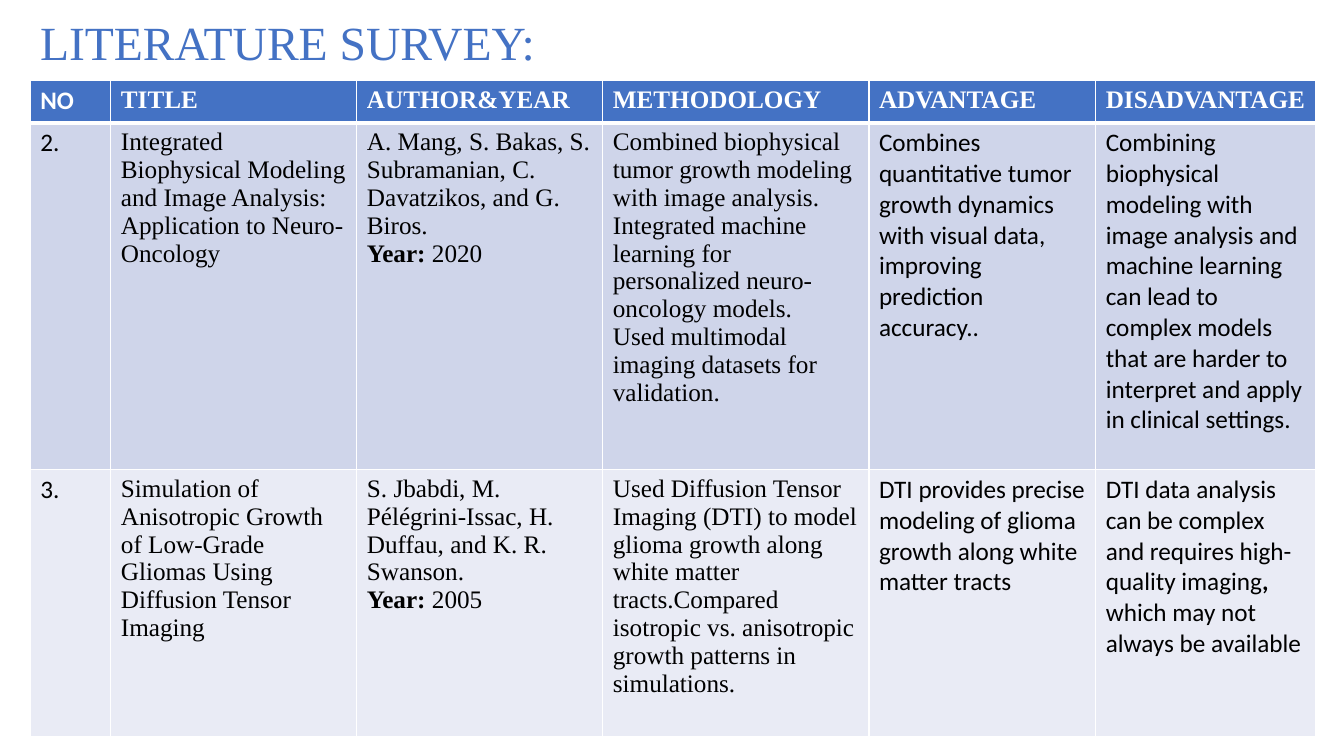
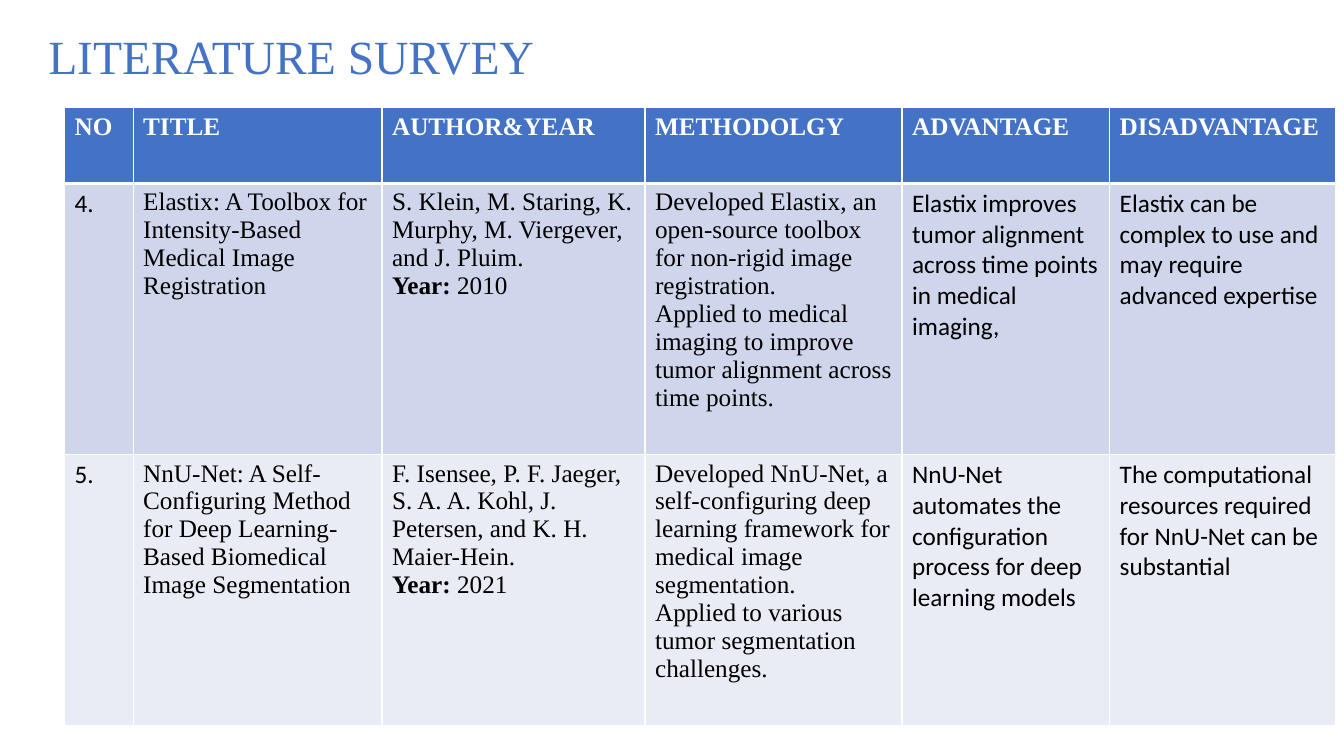
from dataclasses import dataclass

from lxml.etree import SubElement
from pptx import Presentation
from pptx.dml.color import RGBColor
from pptx.enum.text import MSO_ANCHOR
from pptx.oxml.ns import qn
from pptx.util import Pt


@dataclass(frozen=True)
class Theme:
    accent: str = "4472C4"
    bands: tuple = ("CFD5EA", "E9EBF5")
    text: str = "000000"
    white: str = "FFFFFF"
    serif: str = "Times New Roman"
    sans: str = "Calibri"
    title_size: int = 34
    table_size: int = 18
    rule: int = 1
    header_rule: int = 3


THEME = Theme()
COLUMN_FONTS = (THEME.sans, THEME.serif, THEME.serif, THEME.serif, THEME.sans, THEME.sans)

# Content: each cell is one string, "\n" parts paragraphs, ** encloses bold words
SURVEYS = [
    {
        "title": "LITERATURE SURVEY:",
        "title_at": (21.6, 7.2),
        "table_at": (21.6, 57.6),
        "column_widths": (57.6, 175.7, 175.7, 190.1, 162, 157),
        "row_heights": (30.2, 247.7, 190.8),
        "number_header_font": THEME.sans,
        "header": ("NO", "TITLE", "AUTHOR&YEAR", "METHODOLOGY", "ADVANTAGE", "DISADVANTAGE"),
        "papers": [
            (
                "2.",
                "Integrated Biophysical Modeling and Image Analysis: Application to Neuro-Oncology",
                "A. Mang, S. Bakas, S. Subramanian, C. Davatzikos, and G. Biros.\n**Year:** 2020",
                "Combined biophysical tumor growth modeling with image analysis.\n"
                "Integrated machine learning for personalized neuro-oncology models.\n"
                "Used multimodal imaging datasets for validation.",
                "Combines quantitative tumor growth dynamics with visual data, "
                "improving prediction accuracy..",
                "Combining biophysical modeling with image analysis and machine learning can lead "
                "to complex models that are harder to interpret and apply in clinical settings.",
            ),
            (
                "3.",
                "Simulation of Anisotropic Growth of Low-Grade Gliomas Using Diffusion Tensor Imaging",
                "S. Jbabdi, M. Pélégrini-Issac, H. Duffau, and K. R. Swanson.\n**Year:** 2005",
                "Used Diffusion Tensor Imaging (DTI) to model glioma growth along white matter "
                "tracts.Compared isotropic vs. anisotropic growth patterns in simulations.",
                "DTI provides precise modeling of glioma growth along white matter tracts",
                "DTI data analysis can be complex and requires high-quality imaging**,** "
                "which may not always be available",
            ),
        ],
    },
    {
        "title": "LITERATURE SURVEY",
        "title_at": (27.4, 17),
        "table_at": (46.1, 77),
        "column_widths": (49, 177.8, 187.9, 183.6, 148.3, 161.3),
        "row_heights": (54, 193.7, 193.7),
        "number_header_font": THEME.serif,
        "header": ("NO", "TITLE", "AUTHOR&YEAR", "METHODOLGY", "ADVANTAGE", "DISADVANTAGE"),
        "papers": [
            (
                "4.",
                "Elastix: A Toolbox for Intensity-Based Medical Image Registration",
                "S. Klein, M. Staring, K. Murphy, M. Viergever, and J. Pluim.\n**Year:** 2010",
                "Developed Elastix, an open-source toolbox for non-rigid image registration.\n"
                "Applied to medical imaging to improve tumor alignment across time points.",
                "Elastix improves tumor alignment across time points in medical imaging,",
                "Elastix can be complex to use and may require advanced expertise",
            ),
            (
                "5.",
                "NnU-Net: A Self-Configuring Method for Deep Learning-Based Biomedical "
                "Image Segmentation",
                "F. Isensee, P. F. Jaeger, S. A. A. Kohl, J. Petersen, and K. H. Maier-Hein.\n"
                "**Year:** 2021",
                "Developed NnU-Net, a self-configuring deep learning framework for medical image "
                "segmentation.\nApplied to various tumor segmentation challenges.",
                "NnU-Net automates the configuration process for deep learning models",
                "The computational resources required for NnU-Net can be substantial",
            ),
        ],
    },
]


def style_run(run, font_name, size, color, bold=False):
    run.font.name = font_name
    run.font.size = Pt(size)
    run.font.color.rgb = RGBColor.from_string(color)
    run.font.bold = bold


def add_title(slide, wording, left, top):
    frame = slide.shapes.add_textbox(Pt(left), Pt(top), Pt(870), Pt(50.4)).text_frame
    frame.word_wrap = True
    frame.vertical_anchor = MSO_ANCHOR.MIDDLE
    frame.text = wording
    heading = frame.paragraphs[0]
    heading.line_spacing = 0.9
    style_run(heading.runs[0], THEME.serif, THEME.title_size, THEME.accent)


def write_cell(cell, wording, font_name, color, is_header):
    frame = cell.text_frame
    frame.text = wording.replace("**", "")
    for paragraph, marked in zip(frame.paragraphs, wording.split("\n")):
        pieces = marked.split("**")
        paragraph.text = pieces[0]
        for piece in pieces[1:]:
            paragraph.add_run().text = piece
        # An empty lead piece leaves no run, so bold is matched to the wording
        bold_pieces = pieces[1::2]
        for run in paragraph.runs:
            bold = is_header or run.text in bold_pieces
            style_run(run, font_name, THEME.table_size, color, bold)


def rule_cell(cell, top, bottom):
    properties = cell._tc.get_or_add_tcPr()
    sides = (("a:lnL", THEME.rule), ("a:lnR", THEME.rule), ("a:lnT", top), ("a:lnB", bottom))
    for side, weight in sides:
        line = SubElement(properties, qn(side), w=str(Pt(weight)))
        SubElement(SubElement(line, qn("a:solidFill")), qn("a:srgbClr"), val=THEME.white)


def add_survey_table(slide, survey):
    widths, heights = survey["column_widths"], survey["row_heights"]
    left, top = survey["table_at"]
    table = slide.shapes.add_table(
        len(heights), len(widths), Pt(left), Pt(top), Pt(sum(widths)), Pt(sum(heights))
    ).table
    table.horz_banding = False
    for column, width in zip(table.columns, widths):
        column.width = Pt(width)
    for row, height in zip(table.rows, heights):
        row.height = Pt(height)

    header_fonts = (survey["number_header_font"],) + (THEME.serif,) * (len(widths) - 1)
    for r, wordings in enumerate([survey["header"], *survey["papers"]]):
        is_header = r == 0
        fonts = header_fonts if is_header else COLUMN_FONTS
        fill = THEME.accent if is_header else THEME.bands[(r - 1) % 2]
        color = THEME.white if is_header else THEME.text
        upper = THEME.header_rule if r == 1 else THEME.rule
        lower = THEME.header_rule if is_header else THEME.rule
        for c, wording in enumerate(wordings):
            cell = table.cell(r, c)
            write_cell(cell, wording, fonts[c], color, is_header)
            rule_cell(cell, upper, lower)
            cell.fill.solid()
            cell.fill.fore_color.rgb = RGBColor.from_string(fill)


def main():
    deck = Presentation()
    deck.slide_width, deck.slide_height = Pt(960), Pt(540)
    for survey in SURVEYS:
        slide = deck.slides.add_slide(deck.slide_layouts[6])
        add_title(slide, survey["title"], *survey["title_at"])
        add_survey_table(slide, survey)
    deck.save("out.pptx")


if __name__ == "__main__":
    main()
